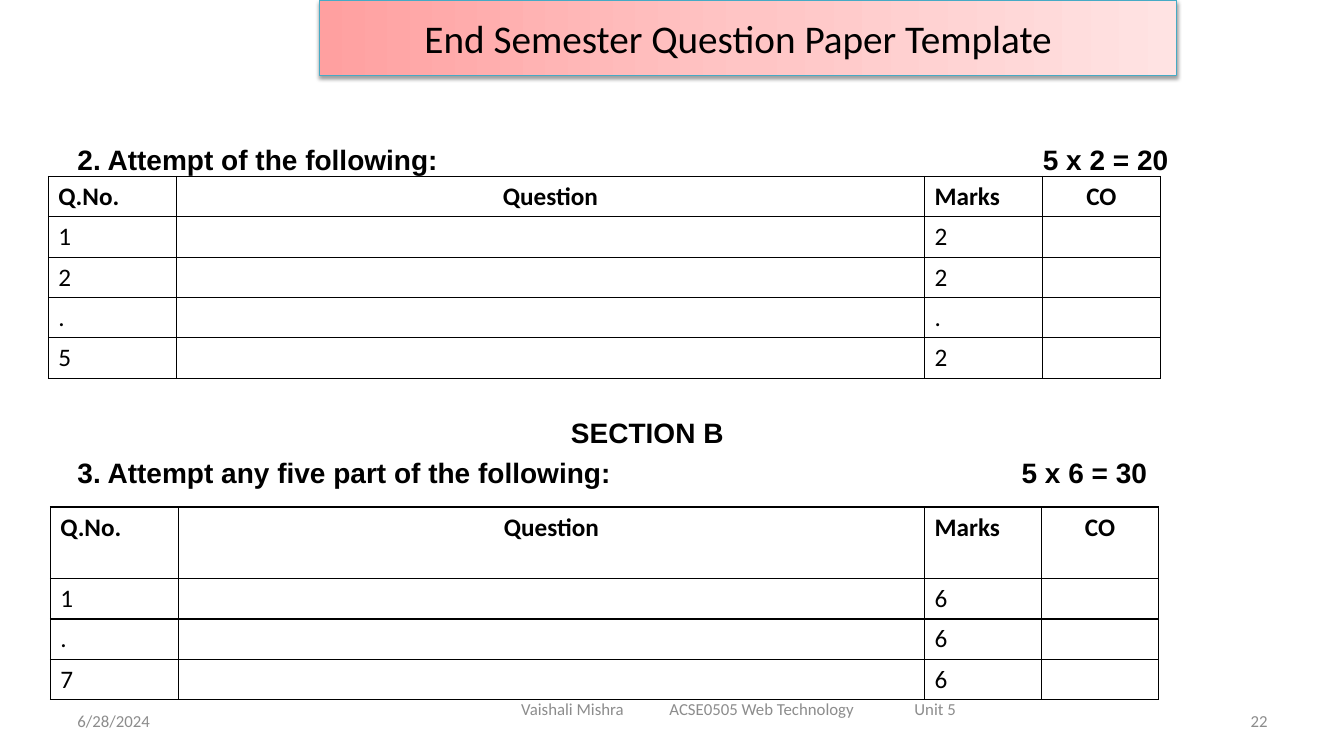
from copy import deepcopy

from pptx import Presentation
from pptx.dml.color import RGBColor
from pptx.enum.text import MSO_ANCHOR as Anchor, MSO_AUTO_SIZE as AutoSize, PP_ALIGN as Align
from pptx.oxml import parse_xml
from pptx.oxml.ns import nsdecls, qn
from pptx.util import Inches, Pt

COLOURS = {"ink": "000000", "paper": "FFFFFF", "footer": "8C8C8C", "title_line": "46AAC5"}
TITLE_STOPS = [(0, "FFA0A0"), (0.5, "FFC5C5"), (1, "FFE3E3")]
TABLE_HEADINGS = ["Q.No.", "Question", "Marks", "CO"]


def rgb(name):
    return RGBColor.from_string(COLOURS[name])


def add_tabs(para, stops):
    """Add tab stops, each given as (inches, "l" or "r")."""
    tabs = "".join(f'<a:tab pos="{Inches(pos)}" algn="{side}"/>' for pos, side in stops)
    properties = para._p.get_or_add_pPr()
    properties.append(parse_xml(f'<a:tabLst {nsdecls("a")}>{tabs}</a:tabLst>'))


class QuestionPaperSlide:
    def __init__(self, deck):
        self.slide = deck.slides.add_slide(deck.slide_layouts[5])

    def add_text(self, para, text, size, colour="ink", font="Calibri", bold=False,
                 align=Align.LEFT):
        para.alignment = align
        span = para.add_run()
        span.text = text
        span.font.size = Pt(size)
        span.font.name = font
        span.font.bold = bold
        span.font.color.rgb = rgb(colour)

    def title(self, text, left, top, width, height):
        box = self.slide.shapes.title
        box.left, box.top, box.width, box.height = map(Inches, (left, top, width, height))
        box.fill.gradient()
        box.fill.gradient_angle = 0
        stop_list = box._element.spPr.find(".//" + qn("a:gsLst"))
        stop_list.insert(1, deepcopy(stop_list[0]))
        for stop, (position, colour) in zip(box.fill.gradient_stops, TITLE_STOPS):
            stop.position = position
            stop.color.rgb = RGBColor.from_string(colour)
        box.line.color.rgb = rgb("title_line")
        box.line.width = Pt(0.75)
        box._element.spPr.append(parse_xml(
            f'<a:effectLst {nsdecls("a")}><a:outerShdw blurRad="{Pt(3.1)}" dist="{Pt(1.6)}" '
            f'dir="5400000" rotWithShape="0"><a:srgbClr val="{COLOURS["ink"]}">'
            '<a:alpha val="38000"/></a:srgbClr></a:outerShdw></a:effectLst>'))
        frame = box.text_frame
        frame.auto_size = AutoSize.NONE
        frame.vertical_anchor = Anchor.MIDDLE
        frame.margin_right = Inches(0.3)
        self.add_text(frame.paragraphs[0], text, 28, align=Align.CENTER)

    def text_box(self, left, top, width, height, anchor=Anchor.MIDDLE):
        box = self.slide.shapes.add_textbox(*map(Inches, (left, top, width, height)))
        frame = box.text_frame
        frame.word_wrap = True
        frame.vertical_anchor = anchor
        return frame

    def footer(self, text, left, top, width, align=Align.LEFT, inset=0.1, tabs=()):
        frame = self.text_box(left, top, width, 0.4)
        frame.margin_left = Inches(inset)
        para = frame.paragraphs[0]
        if tabs:
            add_tabs(para, [(pos, "l") for pos in tabs])
        self.add_text(para, text, 12, "footer", align=align)

    def instructions(self, lines, left, top, width, height):
        """Add bold lines, each given as (text, space before, right tab or None)."""
        frame = self.text_box(left, top, width, height, Anchor.TOP)
        frame.margin_top = Inches(0.08)
        for index, (text, before, tab) in enumerate(lines):
            para = frame.add_paragraph() if index else frame.paragraphs[0]
            if before:
                para.space_before = Pt(before)
            if tab:
                add_tabs(para, [(tab, "r")])
            align = Align.LEFT if tab else Align.CENTER
            self.add_text(para, text, 20, font="Arial", bold=True, align=align)

    def style_cell(self, cell):
        properties = cell._tc.get_or_add_tcPr()
        for side in "LRTB":
            properties.append(parse_xml(
                f'<a:ln{side} {nsdecls("a")} w="{Pt(1)}"><a:solidFill>'
                f'<a:srgbClr val="{COLOURS["ink"]}"/></a:solidFill></a:ln{side}>'))
        cell.fill.solid()
        cell.fill.fore_color.rgb = rgb("paper")

    def question_table(self, left, top, widths, header_height, questions):
        """Draw the heading row and one row for each (number, marks) pair."""
        rows = [TABLE_HEADINGS] + [[number, "", marks, ""] for number, marks in questions]
        heights = [header_height] + [0.4] * len(questions)
        size = (left, top, sum(widths), sum(heights))
        table = self.slide.shapes.add_table(len(rows), len(widths), *map(Inches, size)).table
        table.first_row = table.horz_banding = False
        for column, width in zip(table.columns, widths):
            column.width = Inches(width)
        for row, height in zip(table.rows, heights):
            row.height = Inches(height)
        for row_index, texts in enumerate(rows):
            for column_index, text in enumerate(texts):
                cell = table.cell(row_index, column_index)
                self.style_cell(cell)
                if text:
                    align = Align.CENTER if text in ("Question", "CO") else Align.LEFT
                    self.add_text(cell.text_frame.paragraphs[0], text, 18,
                                  bold=row_index == 0, align=align)


def main():
    deck = Presentation()
    deck.slide_width, deck.slide_height = Inches(13.33), Inches(7.5)
    page = QuestionPaperSlide(deck)
    page.footer("6/28/2024", 0.67, 6.95, 3.11)
    page.footer("Vaishali Mishra\tACSE0505 Web Technology\tUnit 5", 4.75, 6.83, 5.17,
                inset=0.42, tabs=(1.47, 3.9))
    page.footer("22", 9.56, 6.95, 3.11, Align.RIGHT)
    page.title("End Semester Question Paper Template", 3.17, 0, 8.5, 0.75)
    page.instructions([
        ("2. Attempt of the following:\t5 x 2 = 20", 0, 10.82),
        ("SECTION B", 171, None),
        ("3. Attempt any five part of the following:\t5 x 6 = 30", 5, 10.61),
    ], 0.67, 1.33, 11.5, 4.87)
    page.question_table(0.48, 1.75, (1.27, 7.42, 1.17, 1.17), 0.4,
                        [("1", "2"), ("2", "2"), (".", "."), ("5", "2")])
    page.question_table(0.5, 5.03, (1.27, 7.4, 1.16, 1.16), 0.71,
                        [("1", "6"), (".", "6"), ("7", "6")])
    deck.save("out.pptx")


if __name__ == "__main__":
    main()
